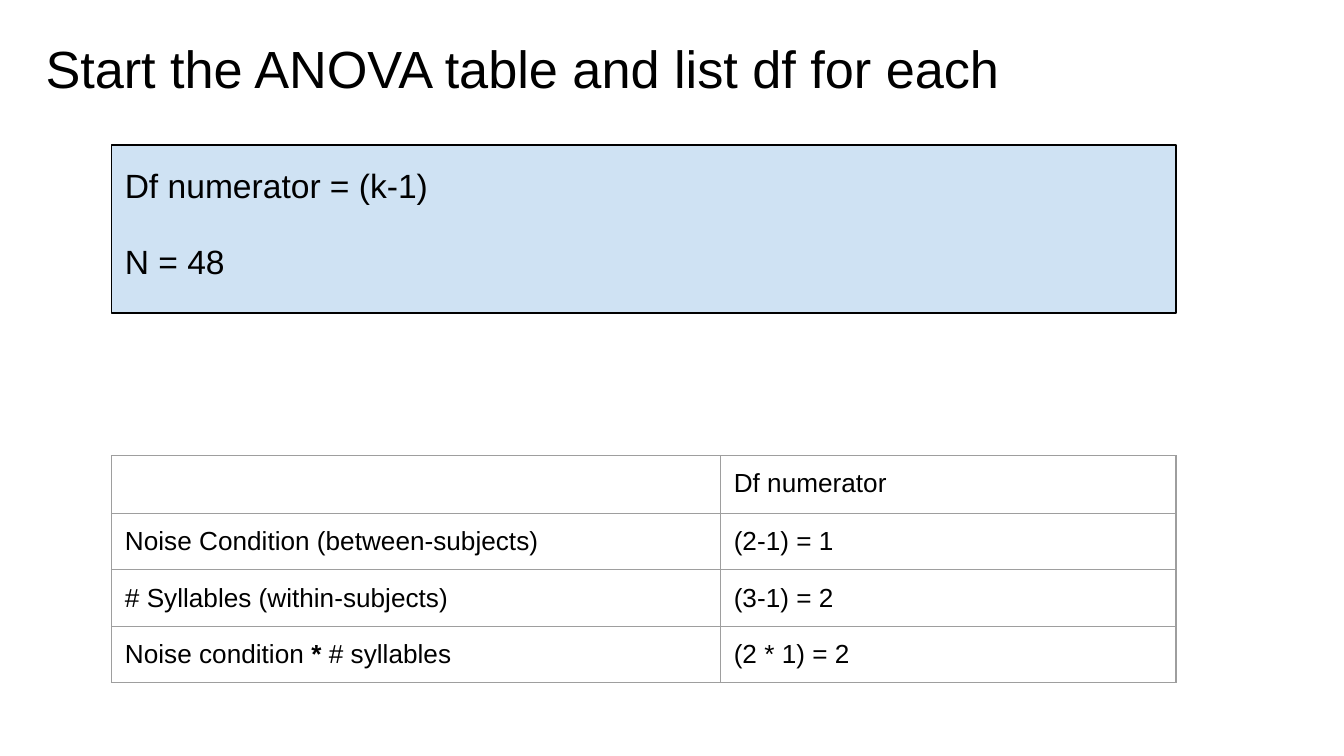
import pptx
import pptx.dml.color
import pptx.enum.shapes
import pptx.enum.text
import pptx.oxml
import pptx.oxml.ns
import pptx.util
from pptx.util import Inches

COLORS = {
    "text": "000000",
    "box": "CFE2F3",
    "outline": "000000",
    "grid": "9E9E9E",
}
ROWS = [
    ("", "Df numerator"),
    ("Noise Condition (between-subjects)", "(2-1) = 1"),
    ("# Syllables (within-subjects)", "(3-1) = 2"),
    (["Noise condition ", "*", " # syllables"], "(2 * 1) = 2"),
]
LEFT = 0.83
WIDTHS = (4.53, 3.39)
HEIGHTS = (0.43, 0.42, 0.42, 0.42)
INSET = 0.1
CELL_BOTTOM_INSET = 0.08


def rgb(name):
    return pptx.dml.color.RGBColor.from_string(COLORS[name])


def apply_format(target, values):
    for attribute, value in values.items():
        setattr(target, attribute, value)


def set_insets(frame, bottom=INSET):
    apply_format(frame, {f"margin_{side}": Inches(INSET)
                         for side in ("left", "top", "right")})
    frame.margin_bottom = Inches(bottom)


def write(paragraph, content, size):
    """Fill a paragraph; in a list of parts every second one is bold."""
    paragraph.alignment = pptx.enum.text.PP_ALIGN.LEFT
    font_format = {"name": "Arial", "size": pptx.util.Pt(size)}
    apply_format(paragraph.font, font_format)
    parts = [content] if isinstance(content, str) else content
    for index, part in enumerate(parts):
        if part:
            run = paragraph.add_run()
            run.text = part
            apply_format(run.font, {**font_format, "bold": index % 2 == 1})
            run.font.color.rgb = rgb("text")


def add_title(slide, title):
    box = slide.shapes.add_textbox(Inches(0.24), Inches(0.17), Inches(9.32), Inches(0.63))
    box.text_frame.word_wrap = True
    set_insets(box.text_frame)
    write(box.text_frame.paragraphs[0], title, 28)


def add_formula_box(slide, formulas):
    box = slide.shapes.add_shape(
        pptx.enum.shapes.MSO_SHAPE.RECTANGLE,
        Inches(LEFT), Inches(1.08), Inches(sum(WIDTHS)), Inches(1.25))
    box.shadow.inherit = False
    box.fill.solid()
    box.fill.fore_color.rgb = rgb("box")
    box.line.color.rgb = rgb("outline")
    box.line.width = pptx.util.Pt(0.75)
    frame = box.text_frame
    apply_format(frame, {"word_wrap": True,
                         "vertical_anchor": pptx.enum.text.MSO_ANCHOR.TOP})
    set_insets(frame)
    for index, formula in enumerate(formulas):
        paragraph = frame.add_paragraph() if index else frame.paragraphs[0]
        apply_format(paragraph, {"line_spacing": 1.15,
                                 "space_before": pptx.util.Pt(16 if index else 0)})
        write(paragraph, formula, 18)


def set_borders(cell):
    properties = cell._tc.get_or_add_tcPr()
    for position, side in enumerate(("lnL", "lnR", "lnT", "lnB")):
        properties.insert(position, pptx.oxml.parse_xml(
            f'<a:{side} {pptx.oxml.ns.nsdecls("a")} w="{pptx.util.Pt(0.75)}">'
            f'<a:solidFill><a:srgbClr val="{COLORS["grid"]}"/></a:solidFill></a:{side}>'))


def add_anova_table(slide):
    table = slide.shapes.add_table(
        len(ROWS), len(WIDTHS), Inches(LEFT), Inches(3.39),
        Inches(sum(WIDTHS)), Inches(sum(HEIGHTS))).table
    apply_format(table, {"first_row": False, "horz_banding": False})
    for column, width in zip(table.columns, WIDTHS):
        column.width = Inches(width)
    for row, height, contents in zip(table.rows, HEIGHTS, ROWS):
        row.height = Inches(height)
        for cell, content in zip(row.cells, contents):
            cell.fill.background()
            set_insets(cell, CELL_BOTTOM_INSET)
            set_borders(cell)
            write(cell.text_frame.paragraphs[0], content, 14)


def main():
    deck = pptx.Presentation()
    slide_width = Inches(10)
    apply_format(deck, {"slide_width": slide_width,
                        "slide_height": slide_width * 9 // 16})
    slide = deck.slides.add_slide(deck.slide_layouts[6])
    add_title(slide, "Start the ANOVA table and list df for each")
    add_formula_box(slide, ["Df numerator = (k-1)", "N = 48"])
    add_anova_table(slide)
    deck.save("out.pptx")


if __name__ == "__main__":
    main()
